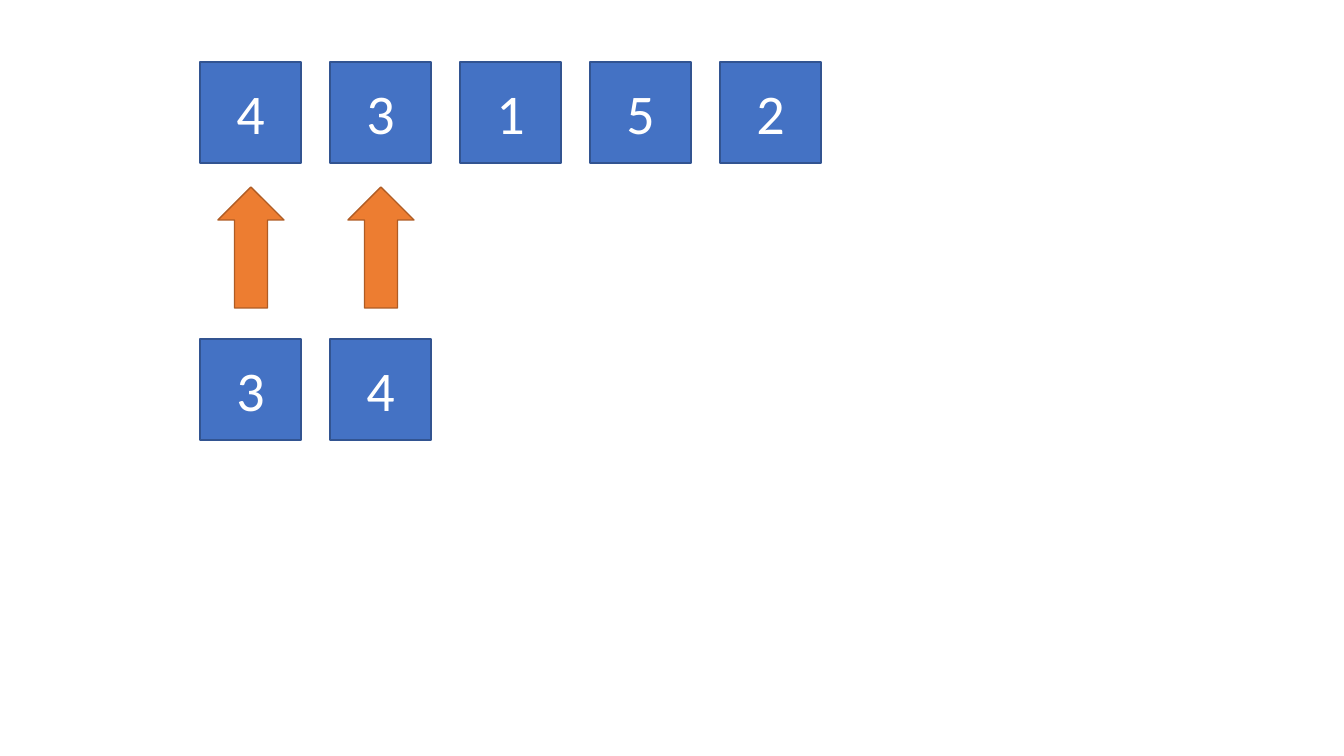
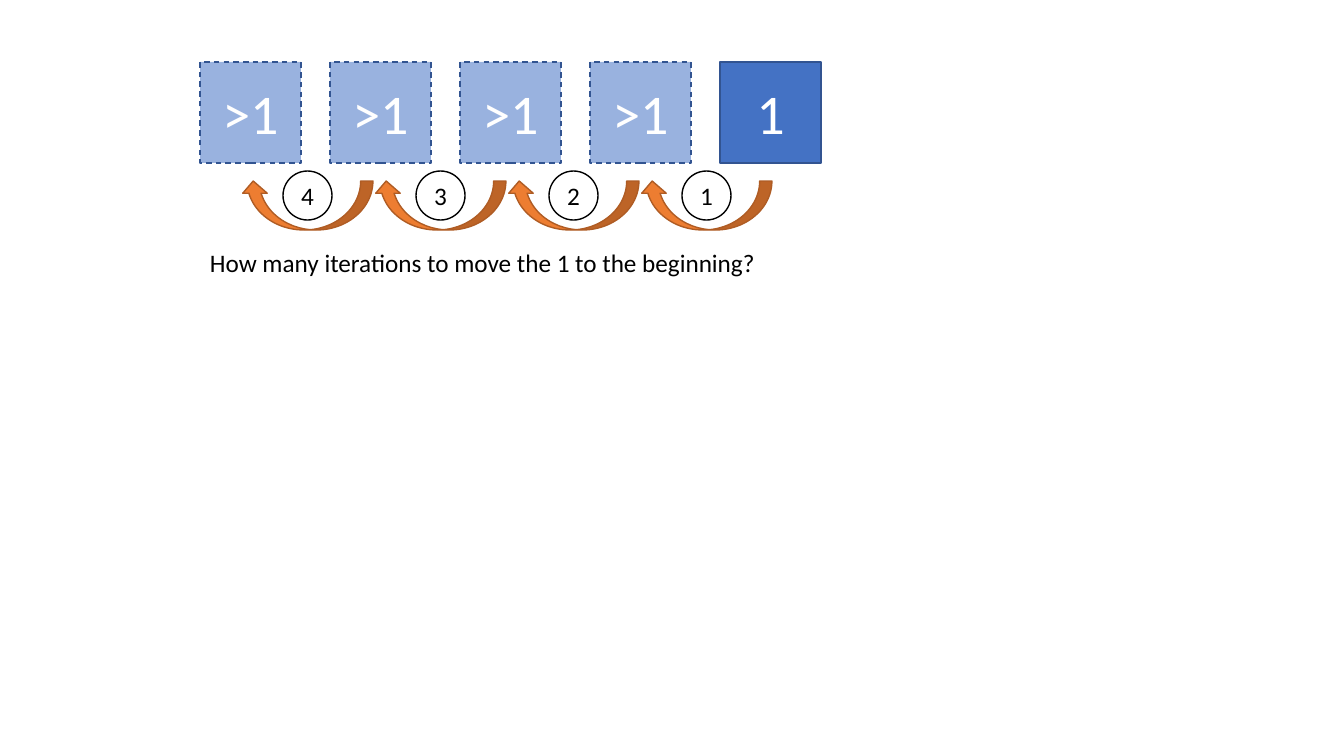
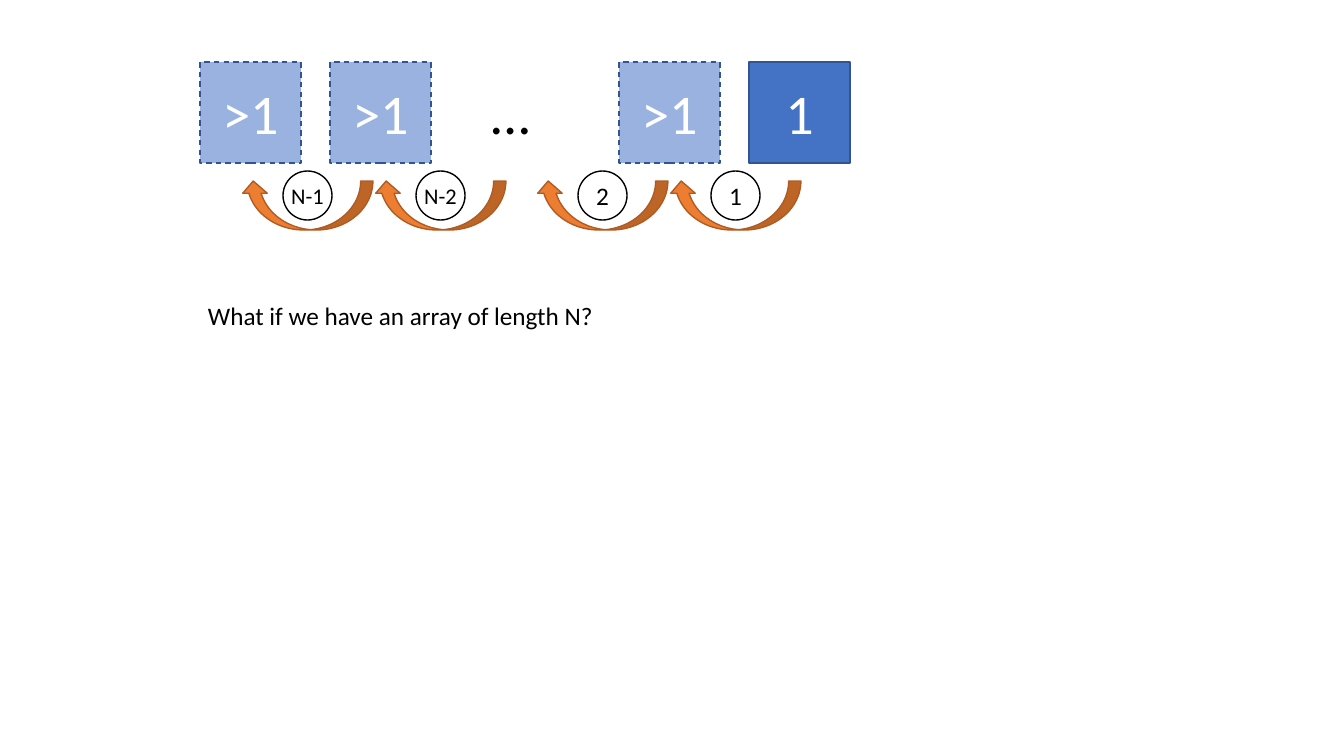
from lxml import etree
from pptx import Presentation, util as u
from pptx.dml.color import RGBColor
from pptx.enum import dml, shapes, text
from pptx.oxml.ns import qn

SCALE = 914400 / 100.8
FONT = "Calibri"
BLUE, BLUE_EDGE = "4472C4", "325491"
ORANGE, ORANGE_EDGE = "ED7D31", "AF5C24"
WHITE, BLACK = "FFFFFF", "000000"
KIND = shapes.MSO_SHAPE

CELL, CELL_PITCH, ROW_LEFT, ROW_TOP = 101, 130, 200, 62
SWAP_LEFT, SWAP_PITCH, SWAP_WIDTH, SWAP_TOP = 241, 133, 132, 181
BADGE, BADGE_INSET, BADGE_TOP = 49, 42, 171


def px(*lengths):
    """Turn pixel lengths into EMU."""
    return [u.Emu(round(length * SCALE)) for length in lengths]


def color(value):
    """Turn a hex string into a colour."""
    return RGBColor.from_string(value)


def write(box, words, size, ink, centred=True):
    """Put one line of text in a box."""
    frame = box.text_frame
    frame.word_wrap = centred
    para = frame.paragraphs[0]
    if centred:
        frame.vertical_anchor = text.MSO_ANCHOR.MIDDLE
        para.alignment = text.PP_ALIGN.CENTER
    span = para.add_run()
    span.text = words
    span.font.name = FONT
    span.font.size = u.Pt(size)
    span.font.color.rgb = color(ink)


def add_shape(page, kind, frame, fill, edge):
    """Add a filled and outlined preset shape."""
    shape = page.shapes.add_shape(kind, *px(*frame))
    shape.shadow.inherit = False
    shape.fill.solid()
    shape.fill.fore_color.rgb = color(fill)
    shape.line.color.rgb = color(edge)
    shape.line.width = u.Pt(1)
    return shape


def add_text(page, frame, words, size, centred=False):
    """Add black text without a frame."""
    box = page.shapes.add_textbox(*px(*frame))
    write(box, words, size, BLACK, centred)
    if not centred:
        box.text_frame.auto_size = text.MSO_AUTO_SIZE.SHAPE_TO_FIT_TEXT


def add_cell(page, left, words, top=ROW_TOP):
    """Add an array cell; a cell with a bound is faded and dashed."""
    cell = add_shape(page, KIND.RECTANGLE, (left, top, CELL, CELL), BLUE, BLUE_EDGE)
    write(cell, words, 40, WHITE)
    if words.startswith(">"):
        cell.line.dash_style = dml.MSO_LINE.DASH
        tint = cell.fill._xPr.find(qn("a:solidFill"))[0]
        etree.SubElement(tint, qn("a:alpha"), val="54000")


def add_row(page, values, top=ROW_TOP):
    """Add evenly spaced array cells."""
    for index, value in enumerate(values):
        add_cell(page, ROW_LEFT + index * CELL_PITCH, value, top)


def add_up_arrow(page, column):
    """Add a straight arrow below a column of the array."""
    left = ROW_LEFT + column * CELL_PITCH + 18
    add_shape(page, KIND.UP_ARROW, (left, 187, 66, 121), ORANGE, ORANGE_EDGE)


def add_swaps(page, labels, shift=0):
    """Add curved arrows and numbered badges; shift moves the last two."""
    lefts = [SWAP_LEFT + index * SWAP_PITCH + (shift if index > 1 else 0)
             for index in range(len(labels))]
    for left in lefts:
        arrow = add_shape(page, KIND.CURVED_UP_ARROW,
                          (left, SWAP_TOP, SWAP_WIDTH, 49), ORANGE, ORANGE_EDGE)
        arrow.element.spPr.find(qn("a:xfrm")).set("flipH", "1")
    for left, label in zip(lefts, labels):
        badge = add_shape(page, KIND.OVAL,
                          (left + BADGE_INSET, BADGE_TOP, BADGE, BADGE), WHITE, BLACK)
        long_label = len(label) > 1
        write(badge, label, 16 if long_label else 18, BLACK)
        if long_label:
            frame = badge.text_frame
            frame.margin_left = frame.margin_right = 0
            frame.margin_top = frame.margin_bottom = 0


def build_first_swap(page):
    """Show the first two values trading places."""
    add_row(page, "43152")
    for column in range(2):
        add_up_arrow(page, column)
    add_row(page, "34", top=339)


def build_five_cells(page):
    """Count the swaps in an array of five."""
    add_row(page, [">1"] * 4 + ["1"])
    add_text(page, (200, 242, 573, 40),
             "How many iterations to move the 1 to the beginning?", 18)
    add_swaps(page, "4321")


def build_n_cells(page):
    """Count the swaps in an array of length N."""
    shift = 29
    add_row(page, [">1"] * 2)
    add_text(page, (ROW_LEFT + 2 * CELL_PITCH, ROW_TOP, CELL, CELL), "…", 40, centred=True)
    for column, value in ((3, ">1"), (4, "1")):
        add_cell(page, ROW_LEFT + column * CELL_PITCH + shift, value)
    add_text(page, (198, 295, 410, 40), "What if we have an array of length N?", 18)
    add_swaps(page, ["N-1", "N-2", "2", "1"], shift)


def main():
    """Build and save the deck."""
    deck = Presentation()
    deck.slide_width, deck.slide_height = px(1344, 756)
    for build in (build_first_swap, build_five_cells, build_n_cells):
        build(deck.slides.add_slide(deck.slide_layouts[6]))
    deck.save("out.pptx")


main()
